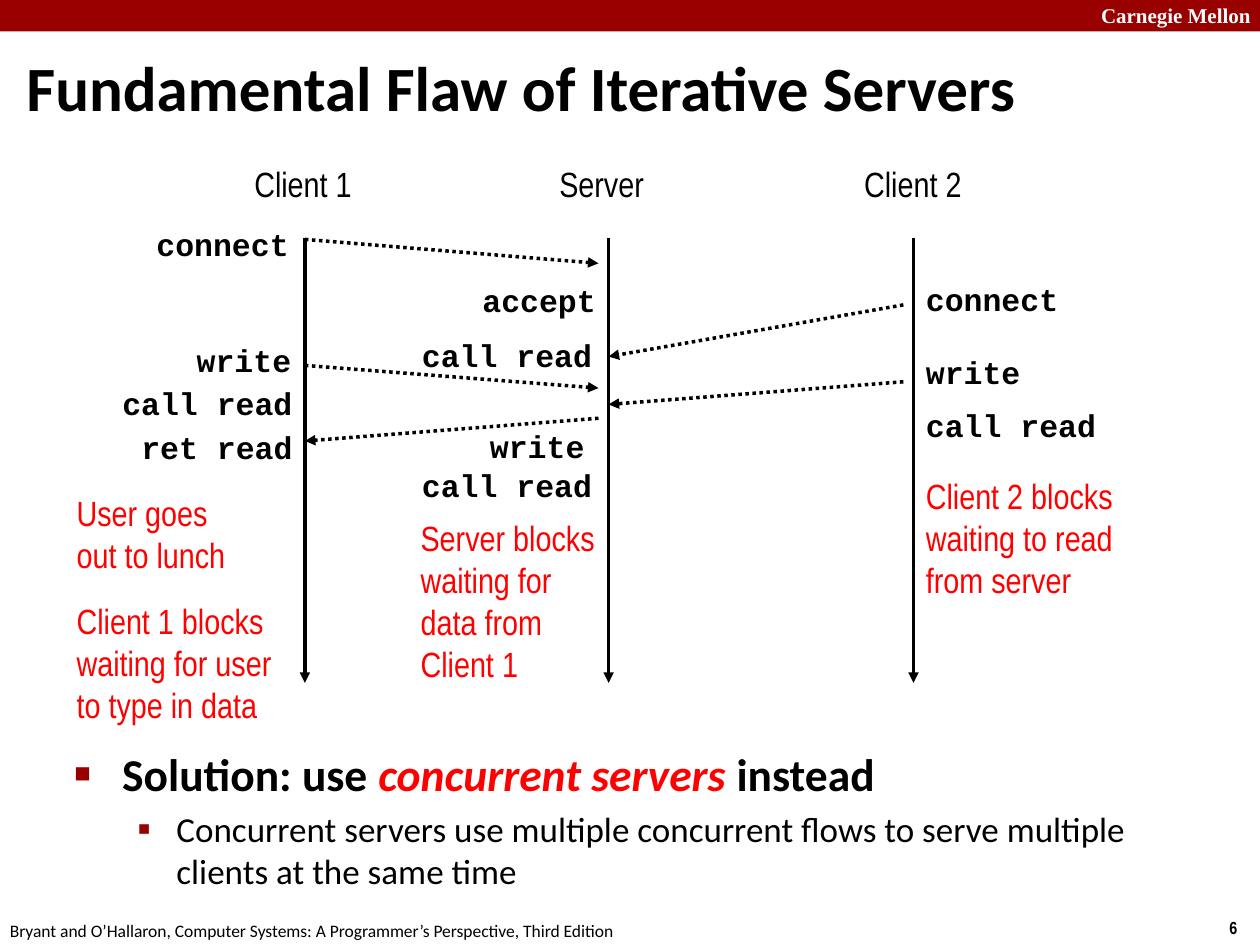
"""Build the slide on the flaw of iterative servers."""
from dataclasses import dataclass

from lxml import etree
from pptx import Presentation
from pptx import util as u
from pptx.dml.color import RGBColor
from pptx.enum import dml, shapes, text
from pptx.oxml import ns


@dataclass(frozen=True)
class Style:
    face: str
    size: float
    color: str = "000000"
    bold: bool = False


@dataclass(frozen=True)
class Theme:
    brand: str = "990000"
    ink: str = "000000"
    alert: str = "FF0000"
    title: Style = Style("Calibri", 36, bold=True)
    point: Style = Style("Calibri", 26, bold=True)
    detail: Style = Style("Calibri", 20)
    label: Style = Style("Arial Narrow", 20)
    note: Style = Style("Arial Narrow", 20, "FF0000")
    code: Style = Style("Courier New", 18, bold=True)
    school: Style = Style("Times New Roman", 12, "FFFFFF", True)
    page: Style = Style("Arial Narrow", 10, bold=True)
    credit: Style = Style("Calibri", 10)


@dataclass(frozen=True)
class Label:
    lines: str
    left: float
    top: float
    width: float
    height: float
    style: Style
    right: bool = False
    wrap: bool = False
    gaps: tuple = ()


@dataclass(frozen=True)
class Arrow:
    start: tuple
    end: tuple
    dotted: bool = True


THEME = Theme()
LANES = (2.42, 4.83, 7.25)
NEAR = (4.75, 7.17)


def call(name: str, left: float, top: float, width: float, right: bool = False) -> Label:
    """Describe one function call beside a lane."""
    return Label(name, left, top, width, 0.4, THEME.code, right)


LABELS = (
    Label("Carnegie Mellon", 8.64, -0.03, 1.43, 0.3, THEME.school, wrap=True),
    Label("6", 9.66, 7.23, 0.34, 0.27, THEME.page),
    Label("Bryant and O’Hallaron, Computer Systems: A Programmer’s Perspective, Third Edition",
          -0.02, 7.25, 5.08, 0.27, THEME.credit),
    Label("User goes\nout to lunch\nClient 1 blocks\nwaiting for user\nto type in data",
          0.51, 3.85, 1.76, 2.02, THEME.note, gaps=((2, 14),)),
    Label("Client 2 blocks\nwaiting to read\nfrom server", 7.25, 3.72, 1.7, 1.11, THEME.note),
    Label("Server blocks\nwaiting for\ndata from\nClient 1", 3.24, 4.05, 1.6, 1.45, THEME.note),
    Label("Client 1", 1.92, 1.24, 0.98, 0.44, THEME.label),
    Label("Server", 4.34, 1.24, 0.88, 0.44, THEME.label),
    Label("Client 2", 6.76, 1.24, 0.98, 0.44, THEME.label),
    call("connect", 1.13, 1.74, 1.26, True),
    call("write", 1.45, 2.66, 0.96, True),
    call("call read", 0.86, 3, 1.56, True),
    call("ret read", 1.01, 3.35, 1.41, True),
    call("accept", 3.73, 2.18, 1.11),
    call("call read", 3.25, 2.62, 1.57),
    call("write", 3.79, 3.34, 0.96),
    call("call read", 3.25, 3.65, 1.56),
    call("connect", 7.25, 2.17, 1.26),
    call("write", 7.25, 2.75, 0.96),
    call("call read", 7.25, 3.17, 1.56),
)

ARROWS = tuple(Arrow((x, 1.89), (x, 5.42), False) for x in LANES) + (
    Arrow((LANES[0], 1.9), (NEAR[0], 2.09)),
    Arrow((NEAR[1], 2.42), (LANES[1], 2.83)),
    Arrow((LANES[0], 2.9), (NEAR[0], 3.08)),
    Arrow((NEAR[1], 3.03), (LANES[1], 3.21)),
    Arrow((NEAR[0], 3.32), (LANES[0], 3.5)),
)


def tint(code: str) -> RGBColor:
    """Turn a hex code into a colour."""
    return RGBColor.from_string(code)


def add(parent, tag: str, **attrs: str):
    """Append a drawing element to a parent."""
    return etree.SubElement(parent, ns.qn(tag), attrs)


def paint(font, style: Style) -> None:
    """Apply a style to a font."""
    font.name, font.size, font.bold = style.face, u.Pt(style.size), style.bold
    font.color.rgb = tint(style.color)


def place(shape, left: float, top: float, width: float, height: float) -> None:
    """Move and size a shape in inches."""
    shape.left, shape.top = u.Inches(left), u.Inches(top)
    shape.width, shape.height = u.Inches(width), u.Inches(height)


def indent(para, left: float, first: float) -> None:
    """Set the margin and first-line indent of a paragraph."""
    props = para._p.get_or_add_pPr()
    props.set("marL", str(u.Inches(left)))
    props.set("indent", str(u.Inches(first)))


def bullet(para, char: str, size: int) -> None:
    """Give a paragraph a coloured bullet."""
    props = para._p.get_or_add_pPr()
    add(add(props, "a:buClr"), "a:srgbClr", val=THEME.brand)
    add(props, "a:buSzPct", val=str(size * 1000))
    add(props, "a:buFont", typeface="Arial")
    add(props, "a:buChar", char=char)


def write(slide, label: Label) -> None:
    """Draw a text label."""
    box = slide.shapes.add_textbox(0, 0, 0, 0)
    place(box, label.left, label.top, label.width, label.height)
    frame = box.text_frame
    frame.word_wrap = label.wrap
    frame.auto_size = text.MSO_AUTO_SIZE.SHAPE_TO_FIT_TEXT
    frame.text = label.lines
    for para in frame.paragraphs:
        para.alignment = text.PP_ALIGN.RIGHT if label.right else text.PP_ALIGN.LEFT
        paint(para.font, label.style)
    for row, gap in label.gaps:
        frame.paragraphs[row].space_before = u.Pt(gap)


def link(slide, arrow: Arrow) -> None:
    """Draw a solid or dotted arrow."""
    ends = [u.Inches(v) for v in arrow.start + arrow.end]
    line = slide.shapes.add_connector(shapes.MSO_CONNECTOR.STRAIGHT, *ends)
    line.line.color.rgb = tint(THEME.ink)
    line.line.width = u.Pt(2)
    if arrow.dotted:
        line.line.dash_style = dml.MSO_LINE.ROUND_DOT
    add(line.line._get_or_add_ln(), "a:tailEnd", type="triangle")
    add(line._element.spPr, "a:effectLst")


def head(slide) -> None:
    """Fill the title and draw the top band."""
    band = slide.shapes.add_shape(shapes.MSO_SHAPE.RECTANGLE, 0, 0, u.Inches(10), u.Inches(0.25))
    band.shadow.inherit = False
    band.fill.solid()
    band.fill.fore_color.rgb = tint(THEME.brand)
    band.line.fill.background()
    title = slide.shapes.title
    place(title, 0.11, 0.37, 9.83, 0.63)
    frame = title.text_frame
    frame.text = "Fundamental Flaw of Iterative Servers"
    frame.auto_size = text.MSO_AUTO_SIZE.NONE
    frame.vertical_anchor = text.MSO_ANCHOR.MIDDLE
    para = frame.paragraphs[0]
    para.alignment = text.PP_ALIGN.LEFT
    indent(para, 0.13, -0.13)
    paint(para.font, THEME.title)


def body(slide) -> None:
    """Fill the list with the solution."""
    holder = slide.placeholders[1]
    place(holder, 0.49, 5.87, 9.26, 1.26)
    frame = holder.text_frame
    frame.auto_size = text.MSO_AUTO_SIZE.NONE
    point, detail = frame.paragraphs[0], frame.add_paragraph()
    for part in ("Solution: use ", "concurrent servers ", "instead"):
        point.add_run().text = part
    detail.text = ("Concurrent servers use multiple concurrent flows "
                   "to serve multiple clients at the same time")
    detail.level = 1
    rows = ((point, 0.38, -0.38, 0, "■", 60, THEME.point),
            (detail, 0.81, -0.31, 4, "▪", 110, THEME.detail))
    for para, left, first, gap, char, size, style in rows:
        indent(para, left, first)
        para.space_before = u.Pt(gap)
        bullet(para, char, size)
        paint(para.font, style)
    point.runs[1].font.italic = True
    point.runs[1].font.color.rgb = tint(THEME.alert)


def main() -> None:
    """Build and save the slide."""
    deck = Presentation()
    deck.slide_width, deck.slide_height = u.Inches(10), u.Inches(7.5)
    slide = deck.slides.add_slide(deck.slide_layouts[1])
    head(slide)
    body(slide)
    for arrow in ARROWS:
        link(slide, arrow)
    for label in LABELS:
        write(slide, label)
    deck.save("out.pptx")


if __name__ == "__main__":
    main()
